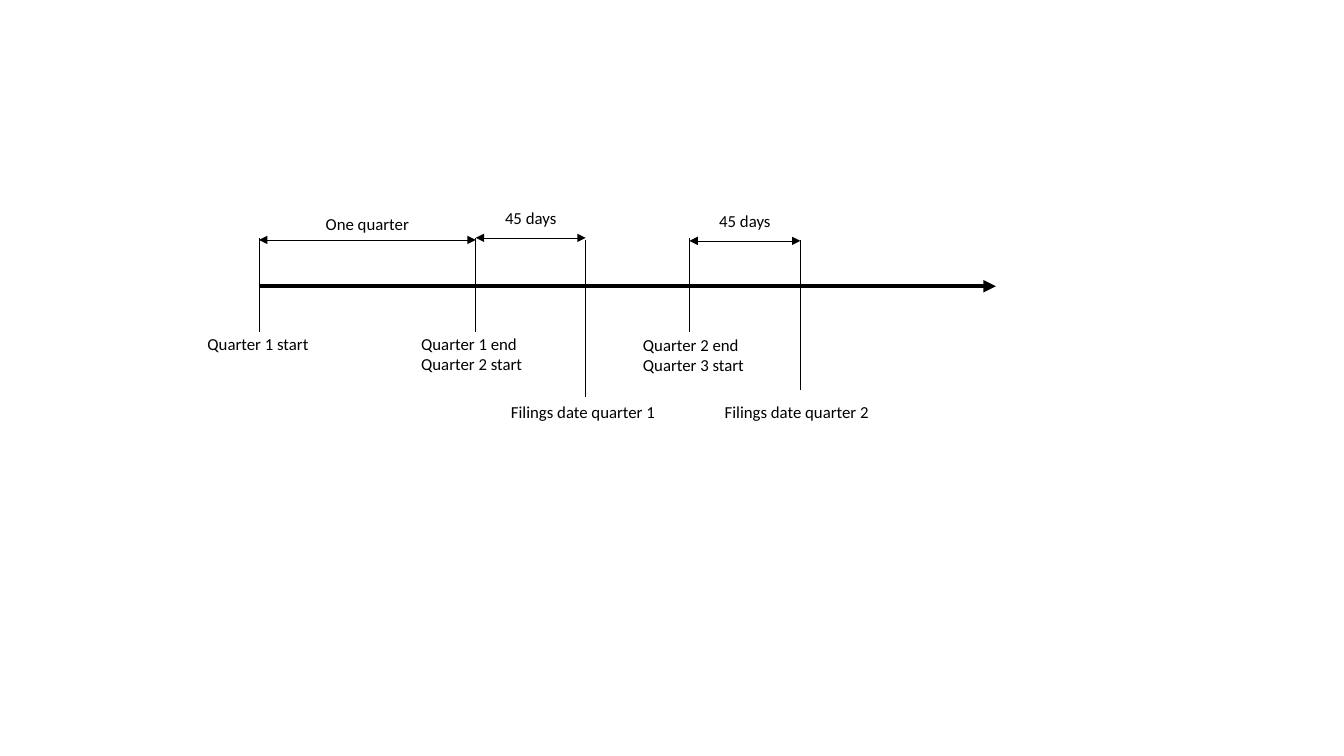
from lxml import etree
from pptx import Presentation
from pptx.dml.color import RGBColor
from pptx.enum.shapes import MSO_CONNECTOR
from pptx.enum.text import MSO_AUTO_SIZE, PP_ALIGN
from pptx.oxml.ns import qn
from pptx.util import Inches, Pt

BLACK = RGBColor(0, 0, 0)
FONT = "Calibri"
LINE = MSO_CONNECTOR.STRAIGHT
GROW = MSO_AUTO_SIZE.SHAPE_TO_FIT_TEXT
LEFT, MID = PP_ALIGN.LEFT, PP_ALIGN.CENTER

CELL = Inches(0.1)
START, END_1, FILE_1, END_2, FILE_2, LAST = 25.7, 47.2, 58.1, 68.4, 79.4, 98.8
AXIS = 28.4
NARROW, WIDE = 12.7, 16.9
ROW = 2


def grid(*cells):
    return [round(cell * CELL) for cell in cells]


def add_line(slide, x1, y1, x2, y2, width=0.5, ends=()):
    line = slide.shapes.add_connector(LINE, *grid(x1, y1, x2, y2))
    line.line.color.rgb = BLACK
    line.line.width = Pt(width)
    for end in ends:
        etree.SubElement(line.line._get_or_add_ln(), qn(end), type="triangle")
    etree.SubElement(line._element.spPr, qn("a:effectLst"))


def add_tick(slide, col, top, base):
    add_line(slide, col, top, col, base)


def add_span(slide, first, last, row):
    add_line(slide, first, row, last, row, ends=("a:headEnd", "a:tailEnd"))


def add_label(slide, col, row, width, texts, align=LEFT):
    height = 1 + ROW * len(texts)
    box = slide.shapes.add_textbox(*grid(col, row, width, height))
    frame = box.text_frame
    frame.word_wrap = True
    frame.auto_size = GROW
    for i, text in enumerate(texts):
        para = frame.paragraphs[0] if i == 0 else frame.add_paragraph()
        para.alignment = align
        run = para.add_run()
        run.text = text
        run.font.name = FONT
        run.font.size = Pt(12)
        run.font.color.rgb = BLACK


def main():
    deck = Presentation()
    deck.slide_width, deck.slide_height = grid(133.33, 75)
    slide = deck.slides.add_slide(deck.slide_layouts[6])

    add_line(slide, START, AXIS, LAST, AXIS, 3, ("a:tailEnd",))
    for col in (START, END_1, END_2):
        add_tick(slide, col, 23.6, 32.9)
    for col, base in ((FILE_1, 39.4), (FILE_2, 38.7)):
        add_tick(slide, col, 23.8, base)

    for first, last, row, text in (
        (START, END_1, 23.8, "One quarter"),
        (END_1, FILE_1, 23.6, "45 days"),
        (END_2, FILE_2, 23.9, "45 days"),
    ):
        add_span(slide, first, last, row)
        left = (first + last - NARROW) / 2
        lift = 3.1 if text == "One quarter" else 3.45
        add_label(slide, left, row - lift, NARROW, [text], MID)

    for col, row, width, texts in (
        (19.6, 32.6, NARROW, ["Quarter 1 start"]),
        (40.8, 32.6, NARROW, ["Quarter 1 end", "Quarter 2 start"]),
        (62.8, 32.7, NARROW, ["Quarter 2 end", "Quarter 3 start"]),
        (49.7, 39.4, WIDE, ["Filings date quarter 1"]),
        (70.9, 39.4, WIDE, ["Filings date quarter 2"]),
    ):
        add_label(slide, col, row, width, texts)

    deck.save("out.pptx")


if __name__ == "__main__":
    main()
